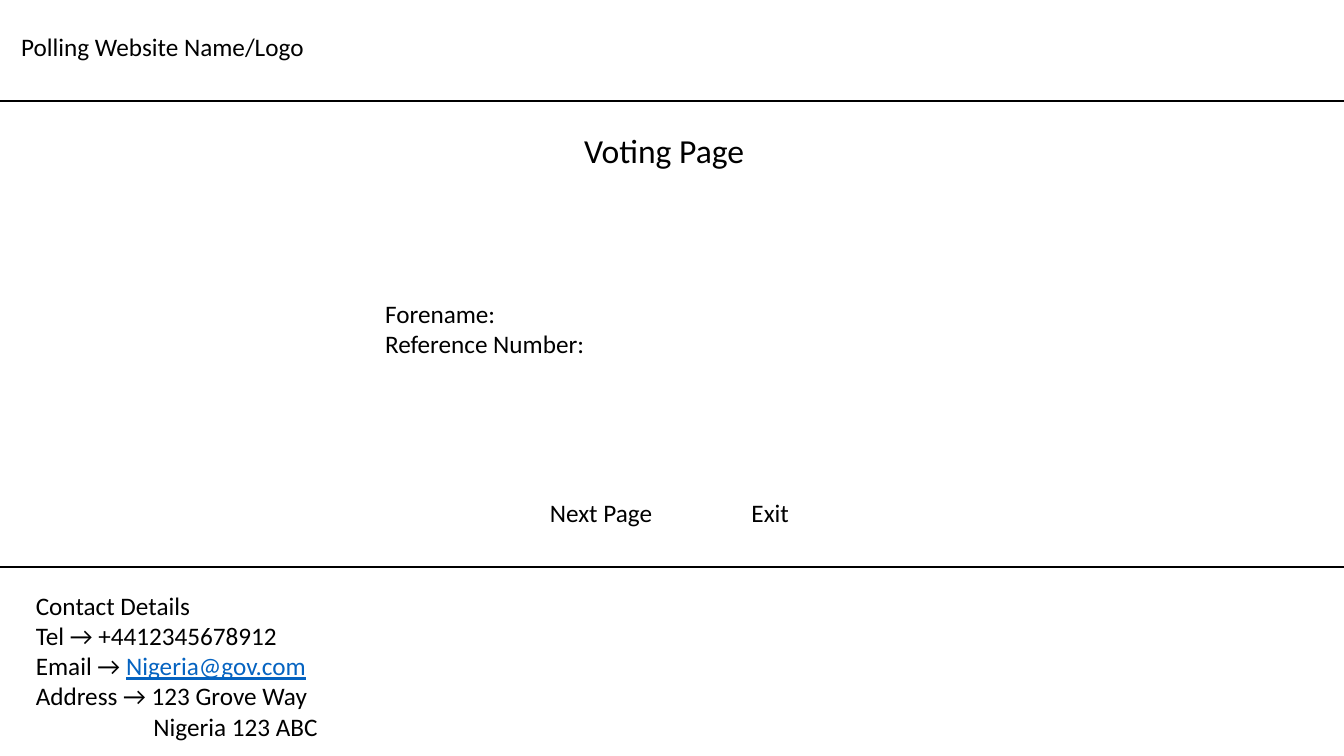
from lxml.etree import SubElement
from pptx import Presentation
from pptx.dml.color import RGBColor
from pptx.enum.shapes import MSO_CONNECTOR as Connector
from pptx.enum.text import MSO_ANCHOR as Anchor, MSO_AUTO_SIZE as AutoSize, PP_ALIGN as Align
from pptx.oxml.ns import qn
from pptx.util import Pt

COLOURS = {"ink": "000000", "link": "0563C1", "page": "FFFFFF"}
WIDTH, HEIGHT = 960, 540


class PageBuilder:
    """Hold the text style and the current slide, and add elements to it."""

    def __init__(self, slide, font="Calibri", size=18):
        self.slide = slide
        self.font = font
        self.size = size
        fill = slide.background.fill
        fill.solid()
        fill.fore_color.rgb = RGBColor.from_string(COLOURS["page"])

    def fill_text(self, shape, lines, size):
        frame = shape.text_frame
        frame_format = {"word_wrap": True, "auto_size": AutoSize.NONE, "vertical_anchor": Anchor.TOP}
        for name, value in frame_format.items():
            setattr(frame, name, value)
        for index, line in enumerate(lines):
            paragraph = frame.paragraphs[0] if index == 0 else frame.add_paragraph()
            paragraph.alignment = Align.LEFT
            for text, colour in line:
                run = paragraph.add_run()
                run.text = text
                run_format = {"name": self.font, "size": Pt(size), "bold": False,
                              "underline": colour == "link"}
                for name, value in run_format.items():
                    setattr(run.font, name, value)
                run.font.color.rgb = RGBColor.from_string(COLOURS[colour])
        return frame.paragraphs

    def title(self, text, left, top, width, height, size=24):
        shape = self.slide.shapes.title
        box = {"left": left, "top": top, "width": width, "height": height}
        for name, value in box.items():
            setattr(shape, name, Pt(value))
        self.fill_text(shape, [[(text, "ink")]], size)

    def text(self, lines, left, top, width, height):
        shape = self.slide.shapes.add_textbox(Pt(left), Pt(top), Pt(width), Pt(height))
        lines = [[(line, "ink")] if isinstance(line, str) else line for line in lines]
        return self.fill_text(shape, lines, self.size)

    def rule(self, top):
        line = self.slide.shapes.add_connector(Connector.STRAIGHT, 0, Pt(top), Pt(WIDTH), Pt(top))
        line.line.width = Pt(1.5)
        line.line.color.rgb = RGBColor.from_string(COLOURS["ink"])
        SubElement(line._element.spPr, qn("a:effectLst"))

    def indent(self, paragraph, distance):
        properties = paragraph._p.get_or_add_pPr()
        properties.set("marL", str(Pt(distance)))
        properties.set("indent", "0")

    def tab_stop(self, paragraph, distance):
        tabs = SubElement(paragraph._p.get_or_add_pPr(), qn("a:tabLst"))
        SubElement(tabs, qn("a:tab"), pos=str(Pt(distance)), algn="l")


def main():
    presentation = Presentation()
    presentation.slide_width, presentation.slide_height = Pt(WIDTH), Pt(HEIGHT)
    page = PageBuilder(presentation.slides.add_slide(presentation.slide_layouts[5]))

    page.text(["Polling Website Name/Logo"], 8, 18.8, 417, 29)
    page.rule(72)
    page.title("Voting Page", 410, 89.3, 140, 36)
    page.text(["Forename:", "Reference Number:"], 268, 209.5, 423, 51)
    buttons = page.text(["Next Page\tExit"], 385.7, 351.4, 189, 29)
    page.tab_stop(buttons[0], 144)
    page.rule(405)
    contact = page.text([
        "Contact Details",
        "Tel → +4412345678912",
        [("Email → ", "ink"), ("Nigeria@gov.com", "link")],
        "Address → 123 Grove Way",
        "Nigeria 123 ABC",
    ], 18.5, 417.9, 399, 117)
    page.indent(contact[-1], 84)

    presentation.save("out.pptx")


if __name__ == "__main__":
    main()
